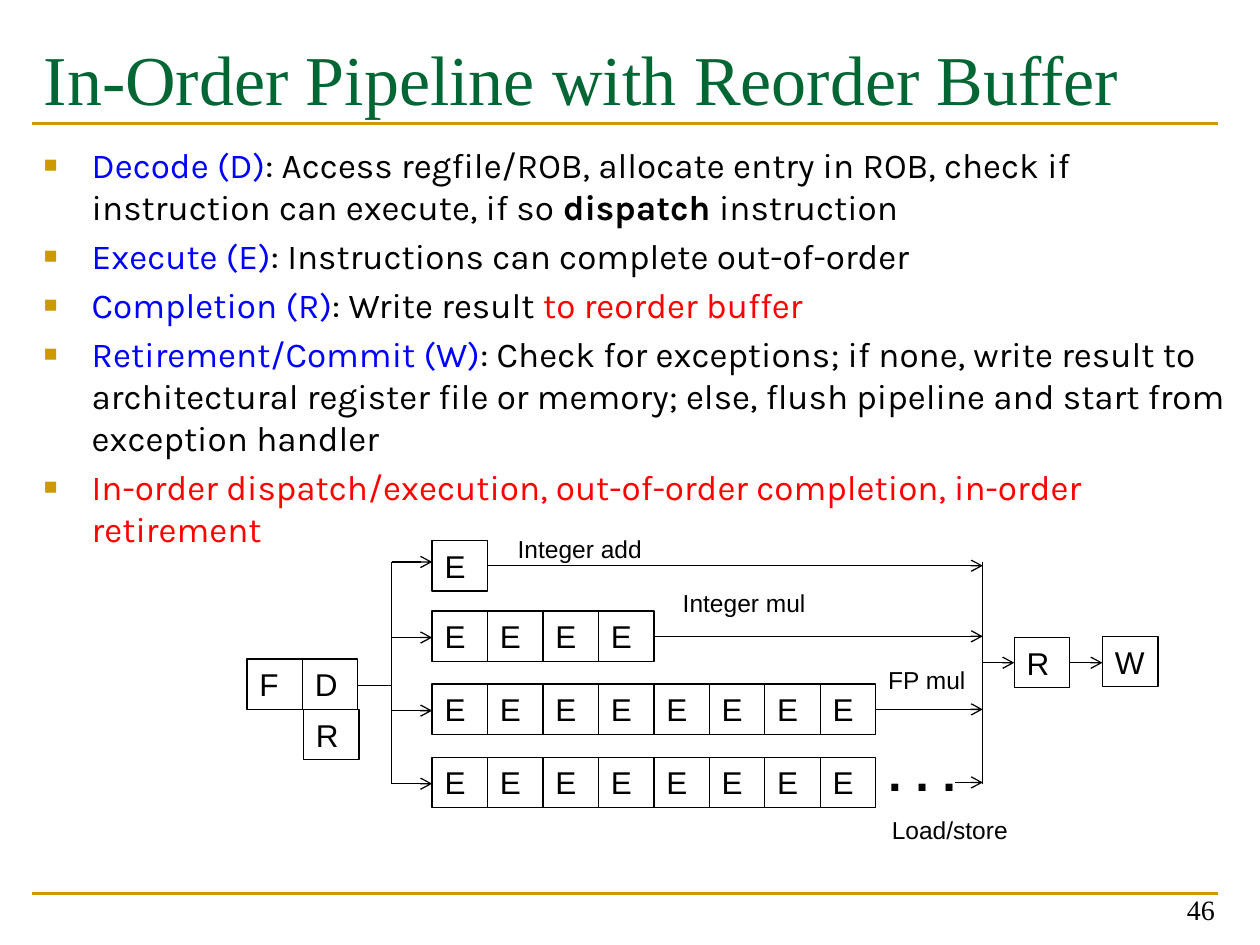
"""Build the slide on an in-order pipeline with a reorder buffer."""
import pptx
import pptx.util
import pptx.dml.color
import pptx.enum.shapes
import pptx.enum.text
import pptx.oxml
import pptx.oxml.ns

TITLE = "In-Order Pipeline with Reorder Buffer"
PAGE = "46"
BULLETS = [
    [("Decode (D)", "key"),
     (": Access regfile/ROB, allocate entry in ROB, check if instruction can execute, if so ", "ink"),
     ("dispatch", "bold"), (" instruction", "ink")],
    [("Execute (E)", "key"), (": Instructions can complete out-of-order", "ink")],
    [("Completion (R)", "key"), (": Write result ", "ink"), ("to reorder buffer", "hot")],
    [("Retirement/Commit (W)", "key"),
     (": Check for exceptions; if none, write result to architectural register file"
      " or memory; else, flush pipeline and start from exception handler", "ink")],
    [("In-order dispatch/execution, out-of-order completion, in-order retirement", "hot")],
]
LANES = [
    dict(top=4.29, count=1, entry=4.46, exit=3.87),
    dict(top=4.85, count=4, entry=5.06, exit=5.19),
    dict(top=5.43, count=8, entry=5.64, exit=6.95),
    dict(top=6.01, count=8, entry=6.22, exit=7.58),
]
STAGES = [("F", 1.96, 5.23), ("D", 2.4, 5.23), ("R", 2.41, 5.63),
          ("R", 8.05, 5.06), ("W", 8.75, 5.05)]
LABELS = [("Integer add", 4.01, 4.19, 1.19), ("Integer mul", 5.32, 4.62, 1.18),
          ("FP mul", 6.95, 5.23, 0.82), ("Load/store", 6.98, 6.42, 1.34)]

THEME = dict(
    gold="CC9900", title="006633", key="0000FF", hot="FF0000", ink="000000",
    bold="000000", paper="FFFFFF",
    serif="Times New Roman", body="Karla", sans="Arial",
    head=40, text=20, num=16, cell=18, label=14, dots=28, rule=1.5, line=0.75)
WIDE, HIGH = 10, 7.5
CELL_W, CELL_H = 0.44, 0.4
LEFT, FORK, JOIN = 3.43, 3.11, 7.8
MARGIN, EDGE = 0.25, 9.67
INDENT = 0.38

inch, pt = pptx.util.Inches, pptx.util.Pt
anchor = pptx.enum.text.MSO_ANCHOR
deck = pptx.Presentation()
deck.slide_width, deck.slide_height = inch(WIDE), inch(HIGH)
slide = deck.slides.add_slide(deck.slide_layouts[6])
shapes = slide.shapes


def tint(name):
    return pptx.dml.color.RGBColor.from_string(THEME[name])


def style(run, size, face, color="ink", bold=False):
    font = run.font
    font.size, font.name, font.bold = pt(THEME[size]), THEME[face], bold
    font.color.rgb = tint(color)


def text(words, box, size, face, color="ink", wrap=True, bold=False):
    frame = shapes.add_textbox(*map(inch, box)).text_frame
    frame.word_wrap = wrap
    frame.text = words
    style(frame.paragraphs[0].runs[0], size, face, color, bold)
    return frame


def line(x1, y1, x2, y2, arrow=False, color="ink", width="line"):
    link = shapes.add_connector(
        pptx.enum.shapes.MSO_CONNECTOR.STRAIGHT, *map(inch, (x1, y1, x2, y2)))
    link.line.color.rgb = tint(color)
    link.line.width = pt(THEME[width])
    props = link._element.spPr
    if arrow:
        tail = pptx.oxml.ns.qn("a:tailEnd")
        link.line._get_or_add_ln().append(props.makeelement(tail, {"type": "arrow"}))
    props.append(props.makeelement(pptx.oxml.ns.qn("a:effectLst"), {}))


def cell(name, x, y):
    box = shapes.add_shape(pptx.enum.shapes.MSO_SHAPE.RECTANGLE,
                           *map(inch, (x, y, CELL_W, CELL_H)))
    box.shadow.inherit = False
    box.fill.solid()
    box.fill.fore_color.rgb = tint("paper")
    box.line.color.rgb = tint("ink")
    box.line.width = pt(THEME["line"])
    frame = box.text_frame
    frame.text = name
    frame.vertical_anchor = anchor.MIDDLE
    para = frame.paragraphs[0]
    para.alignment = pptx.enum.text.PP_ALIGN.LEFT
    style(para.runs[0], "cell", "sans")


def bullet(para):
    props = para._p.get_or_add_pPr()
    props.set("marL", str(inch(INDENT)))
    props.set("indent", str(-inch(INDENT)))
    qn = pptx.oxml.ns.qn
    color = props.makeelement(qn("a:buClr"), {})
    color.append(props.makeelement(qn("a:srgbClr"), {"val": THEME["gold"]}))
    props.append(color)
    for tag, pair in (("buSzPct", {"val": "65000"}),
                      ("buFont", {"typeface": THEME["sans"]}),
                      ("buChar", {"char": "■"})):
        props.append(props.makeelement(qn("a:" + tag), pair))


for y in (7.09, 0.98):
    line(MARGIN, y, EDGE, y, color="gold", width="rule")
head = text(TITLE, (MARGIN, 0.17, WIDE - MARGIN, 1.17), "head", "serif", "title")
head.margin_top = inch(0.11)

body = shapes.add_textbox(*map(inch, (MARGIN, 1.09, 9.63, 5.68))).text_frame
body.word_wrap = True
for i, parts in enumerate(BULLETS):
    para = body.add_paragraph() if i else body.paragraphs[0]
    para.space_before = pt(THEME["text"] * 0.2)
    bullet(para)
    for words, role in parts:
        run = para.add_run()
        run.text = words
        style(run, "text", "body", role, role == "bold")

foot = text(PAGE, (7.41, 6.9, 2.33, 0.5), "num", "serif")
foot.vertical_anchor = anchor.BOTTOM
foot.paragraphs[0].alignment = pptx.enum.text.PP_ALIGN.RIGHT

for stage in STAGES:
    cell(*stage)
for lane in LANES:
    for i in range(lane["count"]):
        cell("E", LEFT + i * CELL_W, lane["top"])
    mid = lane["top"] + CELL_H / 2
    line(FORK, lane["entry"], LEFT, lane["entry"], True)
    line(lane["exit"], mid, JOIN, mid, True)
for x in (FORK, JOIN):
    line(x, LANES[0]["entry"], x, LANES[-1]["entry"])
line(2.84, 5.44, FORK, 5.44)
for x1, x2 in ((JOIN, 8.05), (8.49, 8.75)):
    line(x1, 5.26, x2, 5.26, True)

text(". . .", (6.95, 5.84, 0.75, 0.57), "dots", "sans", wrap=False, bold=True)
for words, x, y, w in LABELS:
    text(words, (x, y, w, 0.34), "label", "sans", wrap=False)

deck.save("out.pptx")
